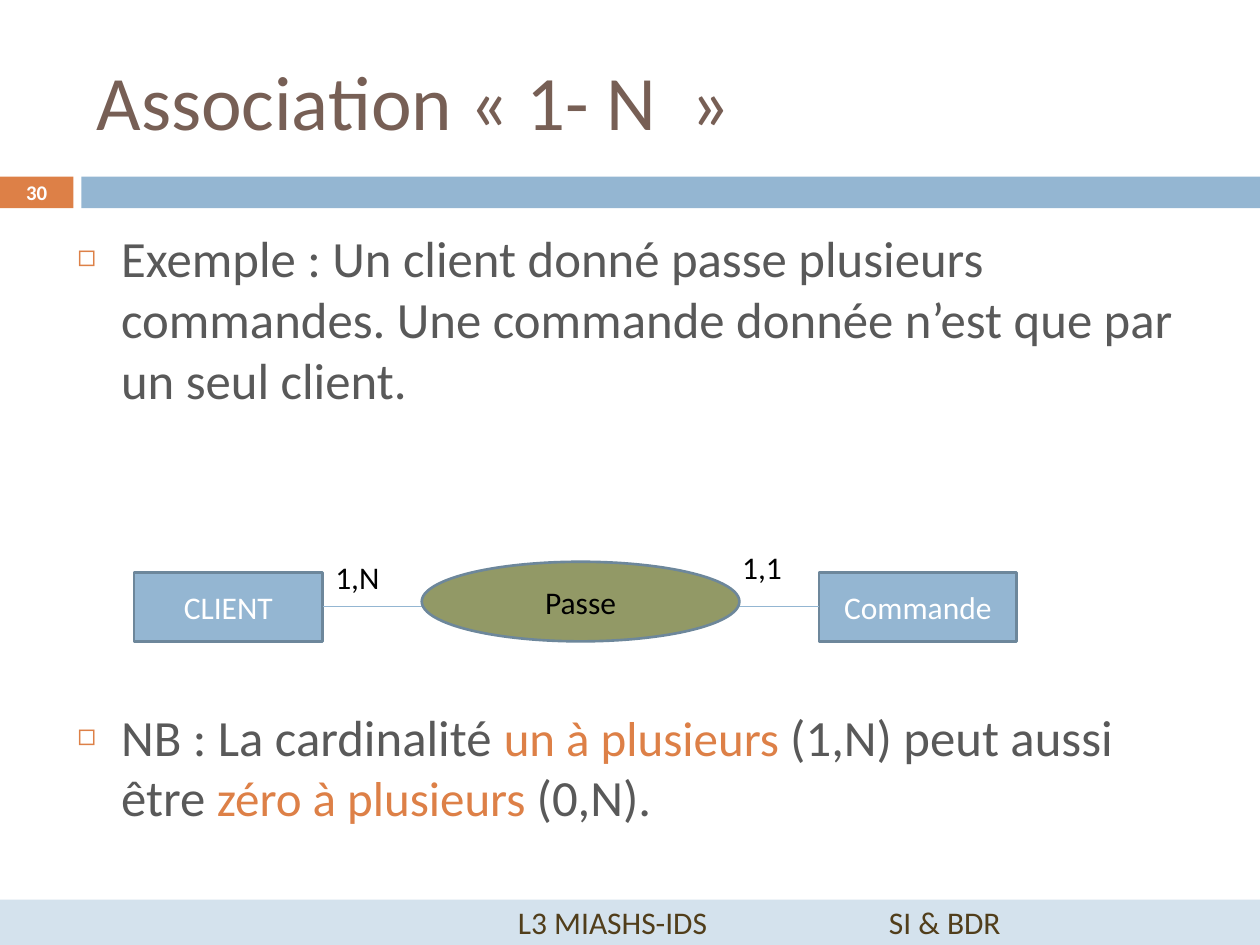
"""Build the slide on the one-to-many association between client and order."""
from dataclasses import dataclass

from lxml import etree
from pptx import Presentation
from pptx.dml.color import RGBColor
from pptx.enum.shapes import MSO_CONNECTOR, MSO_SHAPE
from pptx.enum.text import MSO_ANCHOR, MSO_AUTO_SIZE, PP_ALIGN
from pptx.oxml.ns import qn
from pptx.util import Pt

RECTANGLE, ELLIPSE = MSO_SHAPE.RECTANGLE, MSO_SHAPE.OVAL
STRAIGHT = MSO_CONNECTOR.STRAIGHT
MIDDLE, TOP = MSO_ANCHOR.MIDDLE, MSO_ANCHOR.TOP
CENTER, LEFT = PP_ALIGN.CENTER, PP_ALIGN.LEFT
NO_AUTOFIT = MSO_AUTO_SIZE.NONE

FONT = "Calibri"
ORANGE = RGBColor(0xDD, 0x80, 0x47)
BLUE = RGBColor(0x94, 0xB6, 0xD2)
PALE_BLUE = RGBColor(0xD4, 0xE2, 0xED)
OUTLINE = RGBColor(0x6D, 0x87, 0x9B)
OLIVE = RGBColor(0x92, 0x99, 0x66)
BROWN = RGBColor(0x77, 0x5F, 0x55)
DARK_BROWN = RGBColor(0x51, 0x3E, 0x1B)
GREY = RGBColor(0x59, 0x59, 0x59)
BLACK = RGBColor(0, 0, 0)
WHITE = RGBColor(0xFF, 0xFF, 0xFF)


@dataclass(frozen=True)
class Span:
    """A run of text with its size and colour."""
    text: str
    size: float
    color: RGBColor
    bold: bool = False


@dataclass(frozen=True)
class Area:
    """A place on the page, in points."""
    left: float
    top: float
    width: float
    height: float

    def lengths(self) -> tuple:
        """Return the four lengths for python-pptx."""
        return Pt(self.left), Pt(self.top), Pt(self.width), Pt(self.height)


@dataclass(frozen=True)
class Node:
    """A filled shape, with an outline and a label where given."""
    kind: int
    area: Area
    fill: RGBColor
    outlined: bool = False
    label: Span | None = None


@dataclass(frozen=True)
class Label:
    """A free text on the page."""
    area: Area
    span: Span
    anchor: int = TOP
    align: int = LEFT


@dataclass(frozen=True)
class Bullet:
    """A list item with the space before it."""
    space_before: float
    spans: tuple


CLIENT = Node(RECTANGLE, Area(76.5, 327, 108, 39.5), BLUE, True, Span("CLIENT", 18, WHITE))
ORDER = Node(RECTANGLE, Area(468, 327, 113, 39.5), BLUE, True, Span("Commande", 18, WHITE))
PLACES = Node(ELLIPSE, Area(241, 321, 181.5, 45.5), OLIVE, True, Span("Passe", 18, BLACK))
BARS = (
    Node(RECTANGLE, Area(0, 101, 42, 18), ORANGE),
    Node(RECTANGLE, Area(46.5, 101, 673.5, 18), BLUE),
)
FOOTER = Node(RECTANGLE, Area(0, 514, 720, 26), PALE_BLUE, False,
              Span("L3 MIASHS-IDS\tSI & BDR", 18, DARK_BROWN))
LABELS = (
    Label(Area(184.5, 315.5, 51, 29), Span("1,N", 18, BLACK)),
    Label(Area(417, 309.5, 51, 29), Span("1,1", 18, BLACK)),
    Label(Area(0, 100, 42, 19.5), Span("30", 11.9, WHITE, True), MIDDLE, CENTER),
)
BULLETS = (
    Bullet(0, (Span("Exemple : Un client donné passe plusieurs commandes. "
                    "Une commande donnée n’est que par un seul client.", 29, GREY),)),
    Bullet(169, (
        Span("NB : La cardinalité ", 29, GREY),
        Span("un à plusieurs ", 28, ORANGE),
        Span("(1,N) peut aussi être ", 29, GREY),
        Span("zéro à plusieurs ", 28, ORANGE),
        Span("(0,N).", 29, GREY),
    )),
)


def add_span(para, span: Span) -> None:
    """Append a formatted run to a paragraph."""
    run = para.add_run()
    run.text = span.text
    run.font.name = FONT
    run.font.size = Pt(span.size)
    run.font.bold = span.bold
    run.font.color.rgb = span.color


def place(shape, area: Area) -> None:
    """Move a placeholder to an area."""
    shape.left, shape.top, shape.width, shape.height = area.lengths()


def add_node(page, node: Node):
    """Draw a node and return its shape."""
    shape = page.shapes.add_shape(node.kind, *node.area.lengths())
    shape.shadow.inherit = False
    shape.fill.solid()
    shape.fill.fore_color.rgb = node.fill
    if node.outlined:
        shape.line.color.rgb = OUTLINE
        shape.line.width = Pt(1.5)
    else:
        shape.line.fill.background()
    if node.label:
        shape.text_frame.vertical_anchor = MIDDLE
        para = shape.text_frame.paragraphs[0]
        para.alignment = CENTER
        add_span(para, node.label)
    return shape


def add_label(page, label: Label) -> None:
    """Draw a free text."""
    frame = page.shapes.add_textbox(*label.area.lengths()).text_frame
    frame.word_wrap = True
    frame.vertical_anchor = label.anchor
    frame.paragraphs[0].alignment = label.align
    add_span(frame.paragraphs[0], label.span)


def add_link(page, start, end) -> None:
    """Join the right side of one shape to the left side of another."""
    link = page.shapes.add_connector(STRAIGHT, 0, 0, 0, 0)
    link.begin_connect(start, 3)
    link.end_connect(end, 1)
    link.line.color.rgb = BLUE
    link.line.width = Pt(0.79)
    etree.SubElement(link._element.spPr, qn("a:effectLst"))


def add_bullet(para, bullet: Bullet) -> None:
    """Write a list item with a square orange marker."""
    properties = para._p.get_or_add_pPr()
    properties.set("marL", str(Pt(25)))
    properties.set("indent", str(-Pt(25)))
    color = etree.SubElement(properties, qn("a:buClr"))
    etree.SubElement(color, qn("a:srgbClr"), val=str(ORANGE))
    etree.SubElement(properties, qn("a:buSzPct"), val="60000")
    etree.SubElement(properties, qn("a:buChar"), char="◻")
    para.space_before = Pt(bullet.space_before)
    for span in bullet.spans:
        add_span(para, span)


def add_footer(page) -> None:
    """Draw the footer band with its two tabbed entries."""
    frame = add_node(page, FOOTER).text_frame
    frame.margin_left = Pt(296)
    para = frame.paragraphs[0]
    para.alignment = LEFT
    tabs = etree.SubElement(para._p.get_or_add_pPr(), qn("a:tabLst"))
    etree.SubElement(tabs, qn("a:tab"), pos=str(Pt(212)), algn="l")


def main() -> None:
    """Build and save the deck."""
    deck = Presentation()
    deck.slide_width, deck.slide_height = Pt(720), Pt(540)
    page = deck.slides.add_slide(deck.slide_layouts[1])
    title, body = page.placeholders
    place(title, Area(48, 18, 642, 78))
    title.text_frame.auto_size = NO_AUTOFIT
    title.text_frame.vertical_anchor = MIDDLE
    title.text_frame.paragraphs[0].alignment = LEFT
    add_span(title.text_frame.paragraphs[0], Span("Association « 1- N  »", 44, BROWN))

    place(body, Area(37, 126, 642, 354))
    frame = body.text_frame
    frame.auto_size = NO_AUTOFIT
    for index, bullet in enumerate(BULLETS):
        add_bullet(frame.add_paragraph() if index else frame.paragraphs[0], bullet)

    for bar in BARS:
        add_node(page, bar)
    add_link(page, add_node(page, CLIENT), add_node(page, ORDER))
    add_node(page, PLACES)
    add_footer(page)
    for label in LABELS:
        add_label(page, label)
    deck.save("out.pptx")


if __name__ == "__main__":
    main()
